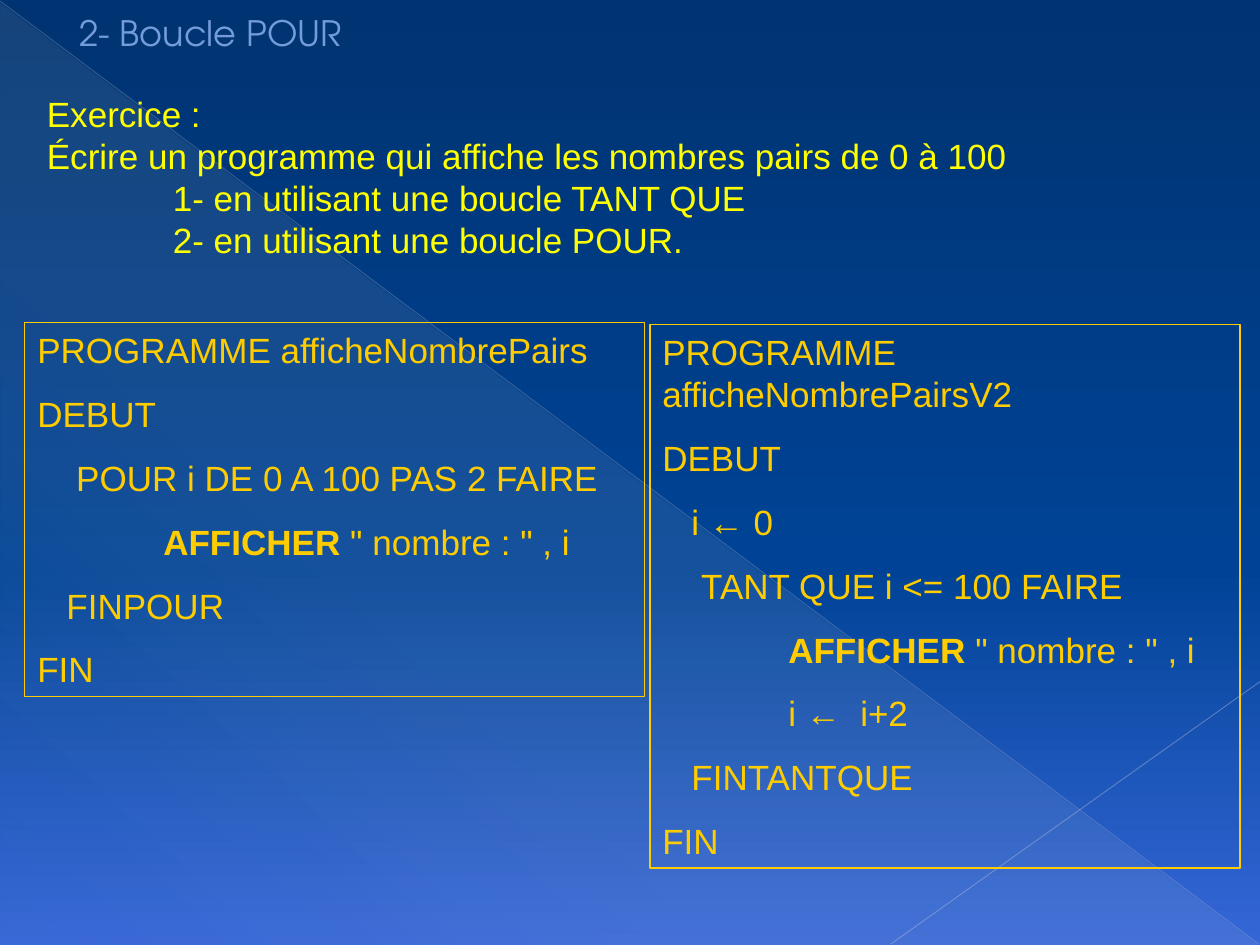
from pptx import Presentation
from pptx.dml.color import RGBColor
from pptx.enum.shapes import MSO_CONNECTOR, MSO_SHAPE
from pptx.enum.text import MSO_ANCHOR, MSO_AUTO_SIZE, PP_ALIGN
from pptx.oxml import parse_xml
from pptx.oxml.ns import nsdecls, qn
from pptx.util import Pt
from lxml.etree import SubElement

NIGHT = RGBColor(0x00, 0x33, 0x71)
NAVY = RGBColor(0x00, 0x43, 0x96)
BLUE = RGBColor(0x35, 0x66, 0xD7)
CREAM = RGBColor(0xEE, 0xEC, 0xE1)
MIST = RGBColor(0xAD, 0xB6, 0xCE)
HAZE = RGBColor(0xB6, 0xBE, 0xD3)
SKY = RGBColor(0x74, 0x9C, 0xDB)
YELLOW = RGBColor(0xFF, 0xFF, 0x00)
GOLD = RGBColor(0xFF, 0xCC, 0x00)

TAB = 72          # one tab stop
SPACE = 5.56      # width of a space in 20 pt Arial


class SlideBuilder:
    """Holds the style and the current slide; lengths are in points."""
    size = Pt(20)
    title_font = "TeX Gyre Adventor"
    body_font = "Arial"

    def __init__(self, s):
        self.s = s

    def gradient(self, parent, stops, angle):
        """Replace the solid fill in parent; stops are (position, colour, opacity)."""
        gs = "".join(
            f'<a:gs pos="{pos * 1000}"><a:srgbClr val="{color}">'
            f'<a:alpha val="{opacity * 1000}"/></a:srgbClr></a:gs>'
            for pos, color, opacity in stops)
        fill = parse_xml(
            f'<a:gradFill {nsdecls("a")} rotWithShape="1"><a:gsLst>{gs}</a:gsLst>'
            f'<a:lin ang="{angle * 60000}" scaled="0"/></a:gradFill>')
        parent.replace(parent.find(qn("a:solidFill")), fill)

    def background(self, stops, angle):
        self.s.background.fill.solid()
        bg = next(self.s.element.iter(qn("p:bgPr")))
        self.gradient(bg, stops, angle)

    def triangle(self, box, stops, angle):
        sp = self.s.shapes.add_shape(MSO_SHAPE.RIGHT_TRIANGLE, *map(Pt, box))
        sp.shadow.inherit = False
        sp.fill.solid()
        sp.line.fill.background()
        self.gradient(sp.element.spPr, stops, angle)

    def line(self, ends, color, width, opacity):
        sp = self.s.shapes.add_connector(MSO_CONNECTOR.STRAIGHT, *map(Pt, ends))
        sp.line.color.rgb = color
        sp.line.width = Pt(width)
        clr = next(sp.element.spPr.iter(qn("a:srgbClr")))
        SubElement(clr, qn("a:alpha"), val=str(opacity * 1000))
        SubElement(sp.element.spPr, qn("a:effectLst"))

    def placeholder(self, idx, box, paragraphs, **style):
        sp = self.s.placeholders[idx]
        sp.left, sp.top, sp.width, sp.height = map(Pt, box)
        self.s.shapes.element.append(sp.element)  # in front of the decoration
        self.fill_text(sp.text_frame, paragraphs, **style)

    def code_box(self, box, paragraphs):
        sp = self.s.shapes.add_textbox(*map(Pt, box))
        sp.line.color.rgb = GOLD
        sp.line.width = Pt(0.75)
        self.fill_text(sp.text_frame, paragraphs, color=GOLD, before=12.5)

    def fill_text(self, tf, paragraphs, color, font=None, before=0,
                  anchor=MSO_ANCHOR.TOP):
        """Each paragraph is (indent, text); text between ** is bold."""
        frame = {"word_wrap": True, "auto_size": MSO_AUTO_SIZE.NONE,
                 "vertical_anchor": anchor}
        for name, value in frame.items():
            setattr(tf, name, value)
        layout = {"alignment": PP_ALIGN.LEFT, "space_before": Pt(before),
                  "space_after": Pt(0), "line_spacing": 1.0}
        for i, (indent, text) in enumerate(paragraphs):
            p = tf.add_paragraph() if i else tf.paragraphs[0]
            for name, value in layout.items():
                setattr(p, name, value)
            pPr = p._p.get_or_add_pPr()
            pPr.set("marL", str(Pt(indent)))
            pPr.set("indent", "0")
            SubElement(pPr, qn("a:buNone"))
            for n, part in enumerate(text.split("**")):
                if part:
                    r = p.add_run()
                    r.text = part
                    look = {"name": font or self.body_font, "size": self.size,
                            "bold": n % 2 == 1}
                    for name, value in look.items():
                        setattr(r.font, name, value)
                    r.font.color.rgb = color


def main():
    prs = Presentation()
    prs.slide_width, prs.slide_height = Pt(720), Pt(540)
    b = SlideBuilder(prs.slides.add_slide(prs.slide_layouts[1]))

    # Backdrop
    b.background([(0, NIGHT, 100), (60, NAVY, 100), (100, BLUE, 100)], 90)
    b.triangle((0.5, 1.3, 718.9, 538.7),
               [(0, CREAM, 10), (70, CREAM, 8), (100, CREAM, 1)], 133)
    b.line((0, 0.5, 719.5, 539.5), MIST, 0.39, 35)
    b.line((720, 389.5, 509, 539.5), HAZE, 0.47, 45)

    # Title and exercise
    b.placeholder(0, (0, 0, 612, 37), [(38, "2- Boucle POUR")], color=SKY,
                  font=b.title_font, anchor=MSO_ANCHOR.MIDDLE)
    b.placeholder(1, (19.6, 49, 669, 127.5), [
        (0, "Exercice :"),
        (0, "Écrire un programme qui affiche les nombres pairs de 0 à 100"),
        (TAB, "1- en utilisant une boucle TANT QUE"),
        (TAB, "2- en utilisant une boucle POUR."),
    ], color=YELLOW)

    # The two programs
    show = (TAB, '**AFFICHER** " nombre : " , i')
    b.code_box((14.2, 184.2, 354.3, 213.8), [
        (0, "PROGRAMME afficheNombrePairs"),
        (0, "DEBUT"),
        (4 * SPACE, "POUR i DE 0 A 100 PAS 2 FAIRE"),
        show,
        (3 * SPACE, "FINPOUR"),
        (0, "FIN"),
    ])
    b.code_box((371.4, 185.3, 337.2, 310.7), [
        (0, "PROGRAMME afficheNombrePairsV2"),
        (0, "DEBUT"),
        (3 * SPACE, "i ← 0"),
        (4 * SPACE, "TANT QUE i <= 100 FAIRE"),
        show,
        (TAB, "i ←  i+2"),
        (3 * SPACE, "FINTANTQUE"),
        (0, "FIN"),
    ])

    prs.save("out.pptx")


if __name__ == "__main__":
    main()
